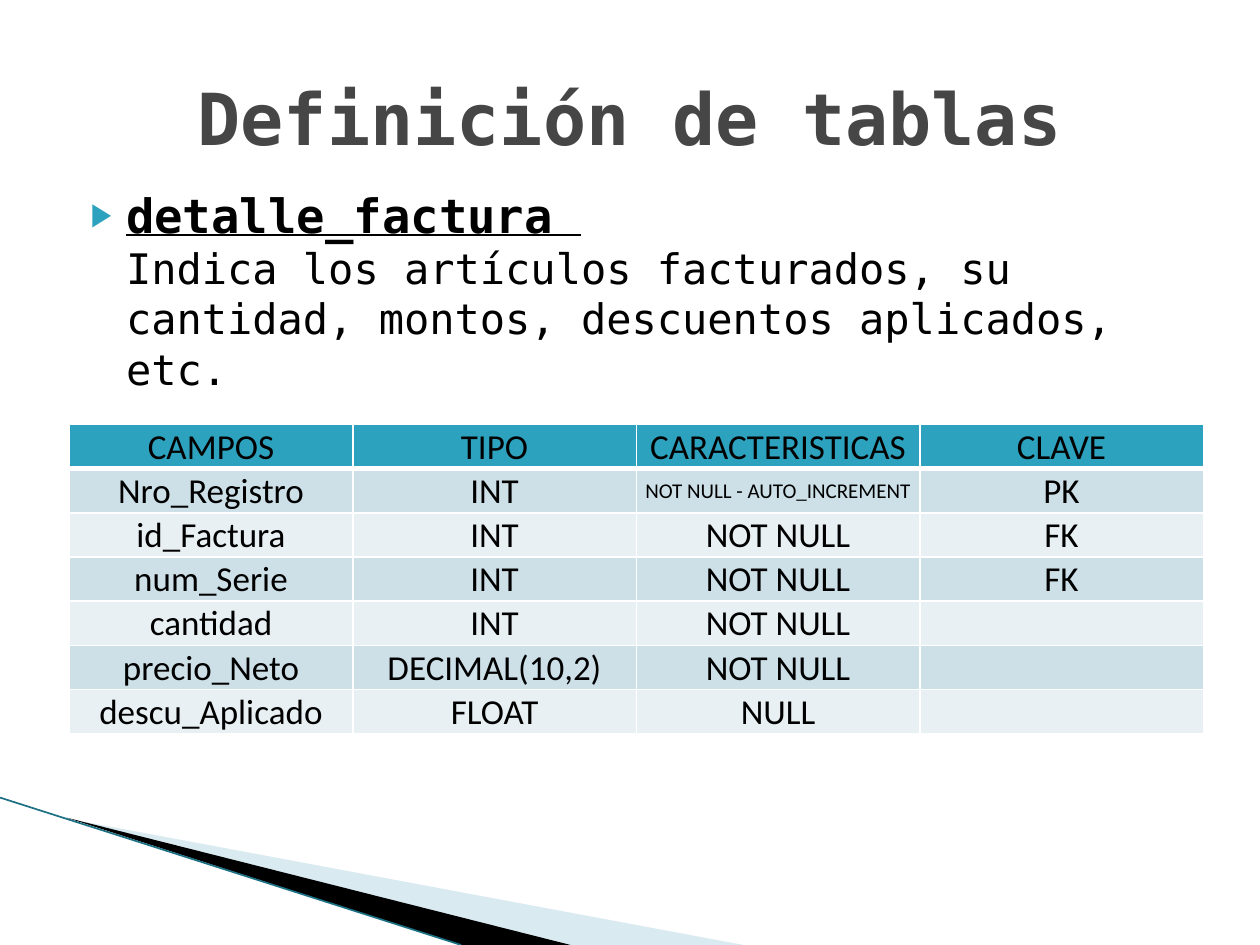
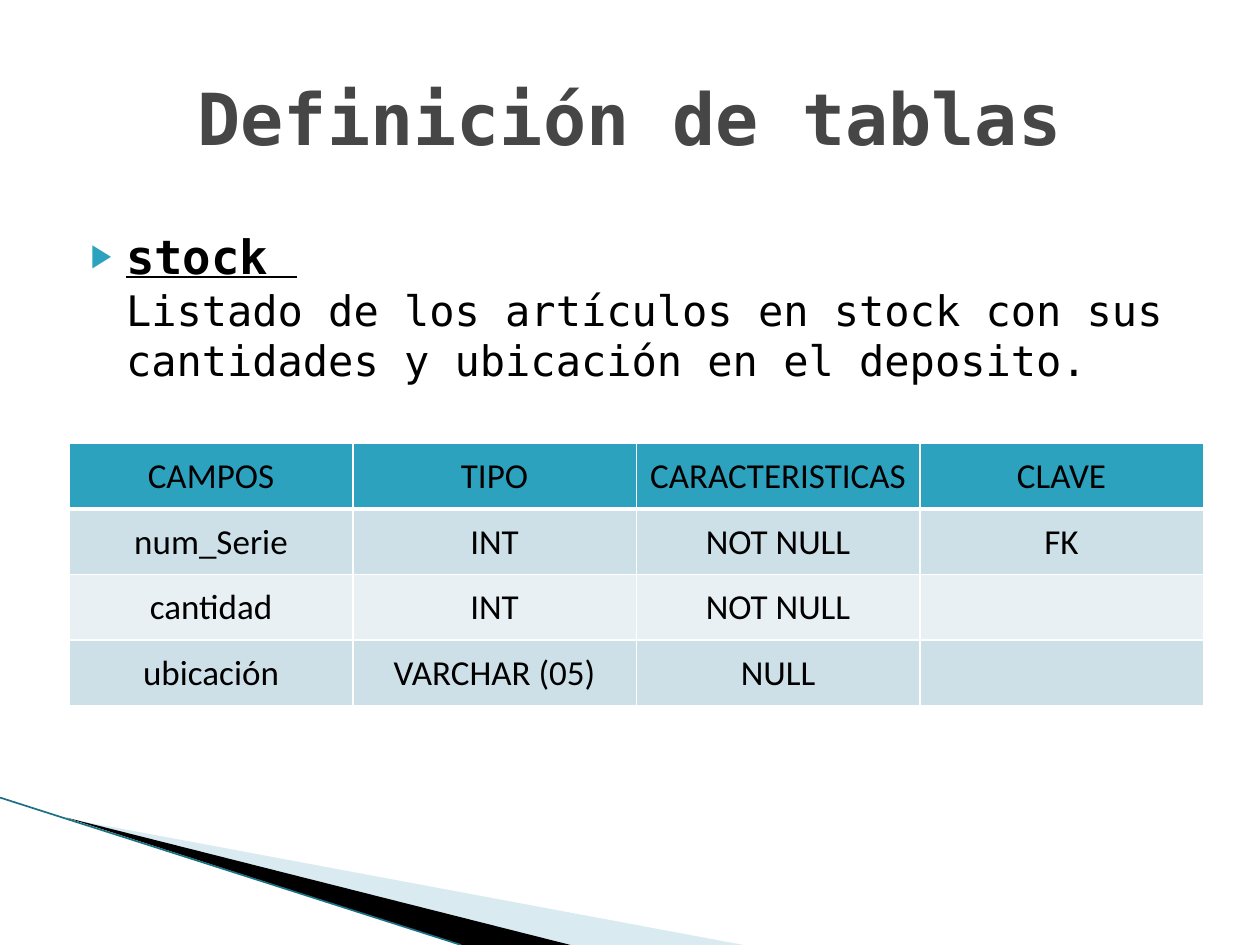
"""Build two slides that define the tables of an invoicing database."""
from copy import deepcopy
from dataclasses import dataclass

from lxml.etree import SubElement
from pptx import Presentation
from pptx.dml.color import RGBColor
from pptx.enum.shapes import MSO_CONNECTOR
from pptx.enum.text import MSO_ANCHOR, MSO_AUTO_SIZE, PP_ALIGN
from pptx.oxml.ns import qn
from pptx.util import Inches, Pt


@dataclass(frozen=True)
class Theme:
    mono: str = "DejaVu Sans Mono"
    sans: str = "Calibri"
    title: str = "464646"
    text: str = "000000"
    accent: str = "2DA2BF"
    bands: tuple = ("CDE0E8", "E8F0F4")
    border: str = "FFFFFF"
    wedge: str = "A0CBDC"
    edge: str = "1B7083"
    title_size: int = 41
    name_size: int = 27
    body_size: int = 24
    cell_size: int = 20
    small_size: int = 12


class Deck:
    def __init__(self, theme):
        self.theme = theme
        self.prs = Presentation()
        self.prs.slide_width = Inches(10)
        self.prs.slide_height = Inches(7.5)
        self.layout = self.prs.slide_layouts[1]
        self.s = None

    def new_slide(self):
        self.s = self.prs.slides.add_slide(self.layout)

    def run(self, p, text, size, font, color, bold=False, underline=False):
        r = p.add_run()
        r.text = text
        r.font.size = Pt(size)
        r.font.name = font
        r.font.bold = bold
        r.font.underline = underline
        r.font.color.rgb = RGBColor.from_string(color)
        return r

    def place(self, sp, left, top, width, height):
        sp.left, sp.top = Inches(left), Inches(top)
        sp.width, sp.height = Inches(width), Inches(height)
        tf = sp.text_frame
        tf.word_wrap = True
        tf.auto_size = MSO_AUTO_SIZE.NONE
        tf.vertical_anchor = MSO_ANCHOR.MIDDLE
        return tf.paragraphs[0]

    def reframe(self, sp, left, top, width, height):
        dx, dy = sp.left - Inches(left), sp.top - Inches(top)
        sp.left, sp.top = Inches(left), Inches(top)
        sp.width, sp.height = Inches(width), Inches(height)
        outline = sp._element.spPr.find(f".//{qn('a:path')}")
        outline.set("w", str(sp.width))
        outline.set("h", str(sp.height))
        for pt in outline.iter(qn("a:pt")):
            pt.set("x", str(int(pt.get("x")) + dx))
            pt.set("y", str(int(pt.get("y")) + dy))

    def wedge(self, points, frame, color, alpha=None):
        start, *rest = [(Inches(x), Inches(y)) for x, y in points]
        builder = self.s.shapes.build_freeform(*start)
        builder.add_line_segments(rest)
        sp = builder.convert_to_shape()
        self.reframe(sp, *frame)
        sp.shadow.inherit = False
        sp.line.fill.background()
        sp.fill.solid()
        sp.fill.fore_color.rgb = RGBColor.from_string(color)
        if alpha:
            clr = sp._element.spPr.find(f".//{qn('a:srgbClr')}")
            SubElement(clr, qn("a:alpha"), val=str(alpha * 1000))
        return sp

    def edge_line(self, x1, y1, x2, y2):
        line = self.s.shapes.add_connector(
            MSO_CONNECTOR.STRAIGHT, Inches(x1), Inches(y1), Inches(x2), Inches(y2))
        line.line.color.rgb = RGBColor.from_string(self.theme.edge)
        line.line.width = Pt(0.95)
        SubElement(line._element.spPr, qn("a:effectLst"))
        return line

    def corner_bands(self):
        t = self.theme
        bands = [
            self.wedge([(0.55, 6.5), (5.9, 7.5), (4.52, 7.5)],
                       (0.78, 5.47, 4.16, 1.58), t.wedge, 40),
            self.wedge([(0.53, 6.49), (4.53, 7.5), (3.66, 7.5)],
                       (-0.06, 6.33, 4.16, 0.92), t.text),
            self.edge_line(0, 6.33, 3.66, 7.5),
        ]
        tree = self.layout.shapes._spTree
        for i, sp in enumerate(bands):
            tree.insert(2 + i, sp._element)

    def title(self, text):
        t = self.theme
        p = self.place(self.s.shapes.title, 0.5, 0.3, 9, 1.25)
        p.alignment = PP_ALIGN.CENTER
        self.run(p, text, t.title_size, t.mono, t.title, bold=True)

    def description(self, name, text, top, height):
        t = self.theme
        p = self.place(self.s.placeholders[1], 0.5, top, 9, height)
        pPr = p._p.get_or_add_pPr()
        pPr.set("marL", str(Inches(0.4)))
        pPr.set("indent", str(Inches(-0.28)))
        SubElement(SubElement(pPr, qn("a:buClr")), qn("a:srgbClr"), val=t.accent)
        SubElement(pPr, qn("a:buSzPct"), val="68000")
        SubElement(pPr, qn("a:buChar"), char="▶")
        p.space_before = Pt(0)
        r = self.run(p, name + " ", t.name_size, t.mono, t.text, True, True)
        p.add_line_break()
        p._p.find(qn("a:br")).append(deepcopy(r._r.rPr))
        self.run(p, text, t.body_size, t.mono, t.text)

    def borders(self, cell, top, bottom):
        tcPr = cell._tc.get_or_add_tcPr()
        for side, width in (("L", 1), ("R", 1), ("T", top), ("B", bottom)):
            ln = SubElement(tcPr, qn(f"a:ln{side}"), w=str(Pt(width)))
            fill = SubElement(ln, qn("a:solidFill"))
            SubElement(fill, qn("a:srgbClr"), val=self.theme.border)

    def cell(self, cell, text, row):
        t = self.theme
        cell.margin_left = cell.margin_right = cell.margin_top = Inches(0.01)
        cell.margin_bottom = 0
        cell.vertical_anchor = MSO_ANCHOR.MIDDLE
        self.borders(cell, 3 if row == 1 else 1, 3 if row == 0 else 1)
        cell.fill.solid()
        color = t.bands[(row - 1) % 2] if row else t.accent
        cell.fill.fore_color.rgb = RGBColor.from_string(color)
        if text:
            p = cell.text_frame.paragraphs[0]
            p.alignment = PP_ALIGN.CENTER
            size = t.small_size if len(text) > 20 else t.cell_size
            self.run(p, text, size, t.sans, t.text)

    def table(self, rows, top, row_height):
        rows = [HEADER, *rows]
        frame = self.s.shapes.add_table(
            len(rows), len(HEADER), Inches(0.55), Inches(top),
            Inches(9), Inches(row_height * len(rows)))
        for i, row in enumerate(rows):
            frame.table.rows[i].height = Inches(row_height)
            for j, text in enumerate(row):
                self.cell(frame.table.cell(i, j), text, i)


HEADER = ("CAMPOS", "TIPO", "CARACTERISTICAS", "CLAVE")

INVOICE_FIELDS = [
    ("Nro_Registro", "INT", "NOT NULL - AUTO_INCREMENT", "PK"),
    ("id_Factura", "INT", "NOT NULL", "FK"),
    ("num_Serie", "INT", "NOT NULL", "FK"),
    ("cantidad", "INT", "NOT NULL", ""),
    ("precio_Neto", "DECIMAL(10,2)", "NOT NULL", ""),
    ("descu_Aplicado", "FLOAT", "NULL", ""),
]

STOCK_FIELDS = [
    ("num_Serie", "INT", "NOT NULL", "FK"),
    ("cantidad", "INT", "NOT NULL", ""),
    ("ubicación", "VARCHAR (05)", "NULL", ""),
]


def main():
    deck = Deck(Theme())

    deck.new_slide()
    deck.corner_bands()
    deck.title("Definición de tablas")
    deck.description(
        "detalle_factura",
        "Indica los artículos facturados, su cantidad, montos, descuentos aplicados, etc.",
        top=1.48, height=1.64)
    deck.table(INVOICE_FIELDS, top=3.37, row_height=0.35)

    deck.new_slide()
    deck.title("Definición de tablas")
    deck.description(
        "stock",
        "Listado de los artículos en stock con sus cantidades y ubicación en el deposito.",
        top=1.64, height=1.58)
    deck.table(STOCK_FIELDS, top=3.52, row_height=0.52)

    deck.prs.save("out.pptx")


if __name__ == "__main__":
    main()
